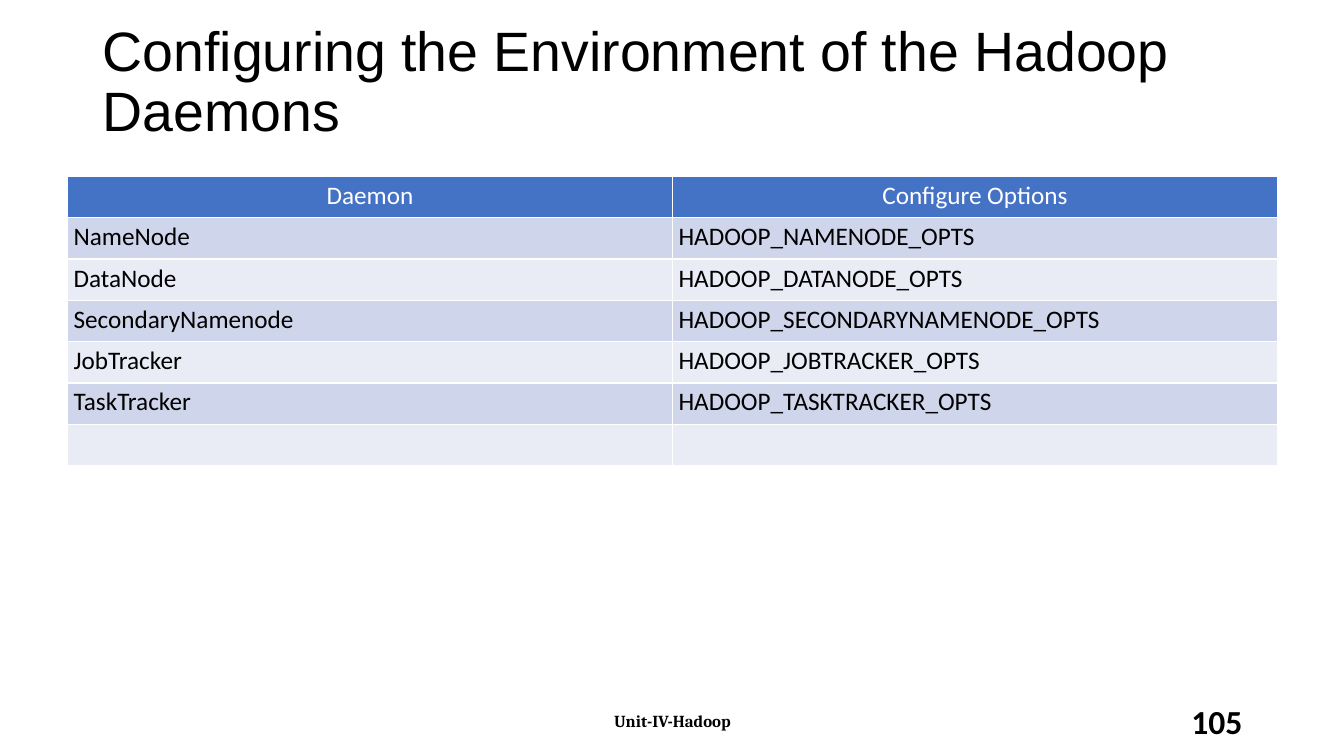
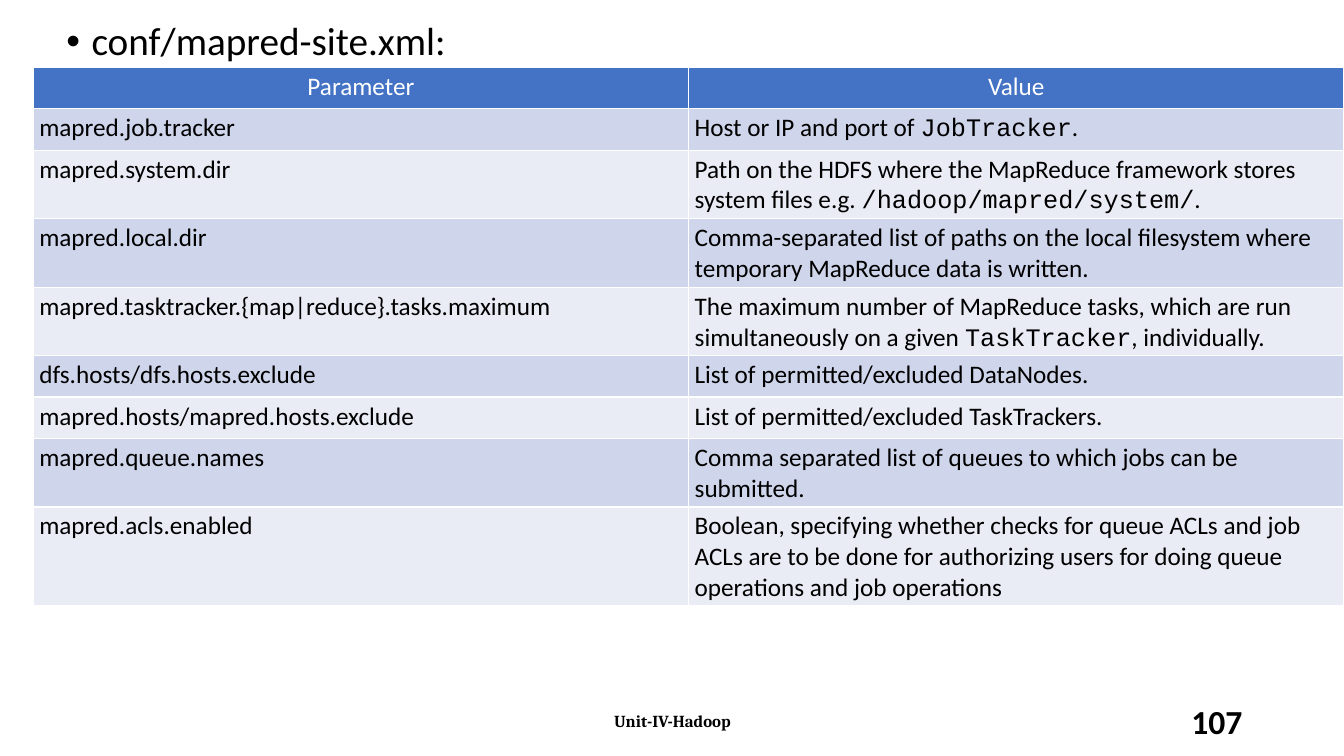
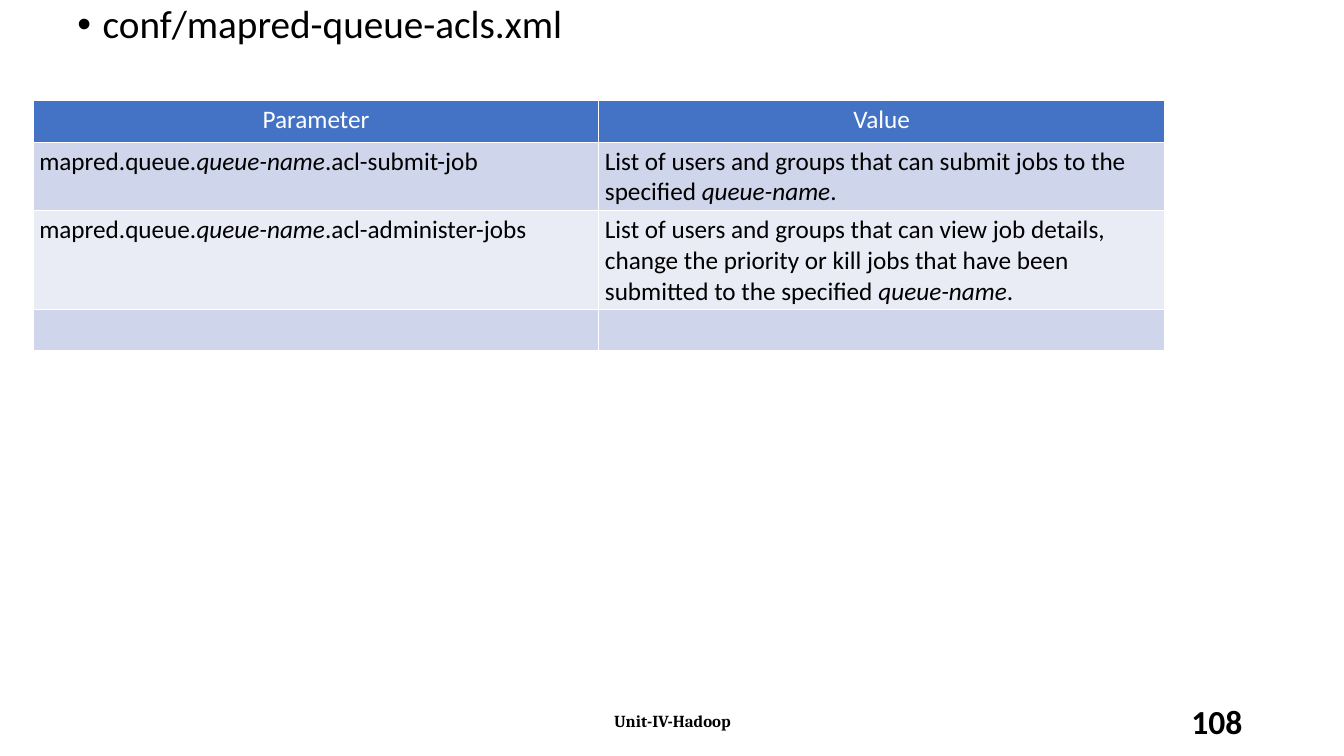
from pptx import Presentation
from pptx.dml.color import RGBColor
from pptx.enum.text import MSO_ANCHOR as Anchor, PP_ALIGN as Align
from pptx.oxml import parse_xml
from pptx.oxml.ns import nsdecls
from pptx.util import Inches, Pt

# Shared colours and fonts
BLACK = RGBColor(0x00, 0x00, 0x00)
WHITE = RGBColor(0xFF, 0xFF, 0xFF)
BLUE = RGBColor(0x44, 0x72, 0xC4)
BANDS = (RGBColor(0xCF, 0xD5, 0xEA), RGBColor(0xE9, 0xEB, 0xF5))
SANS, TITLE, SERIF, MONO = "Calibri", "Arial", "Cambria", "Courier New"
ROW = 0.41


def mono(text):
    return text, {"name": MONO}


def ital(text):
    return text, {"italic": True}


# Table contents: a cell is a string or a list of runs
DAEMONS = [
    ("Daemon", "Configure Options"),
    ("NameNode", "HADOOP_NAMENODE_OPTS"),
    ("DataNode", "HADOOP_DATANODE_OPTS"),
    ("SecondaryNamenode", "HADOOP_SECONDARYNAMENODE_OPTS"),
    ("JobTracker", "HADOOP_JOBTRACKER_OPTS"),
    ("TaskTracker", "HADOOP_TASKTRACKER_OPTS"),
    ("", ""),
]
MAPRED = [
    ("Parameter", "Value"),
    ("mapred.job.tracker",
     ["Host or IP and port of ", mono("JobTracker"), "."]),
    ("mapred.system.dir",
     ["Path on the HDFS where the MapReduce framework stores system files "
      "e.g. ", mono("/hadoop/mapred/system/"), "."]),
    ("mapred.local.dir",
     "Comma-separated list of paths on the local filesystem where temporary "
     "MapReduce data is written."),
    ("mapred.tasktracker.{map|reduce}.tasks.maximum",
     ["The maximum number of MapReduce tasks, which are run simultaneously "
      "on a given ", mono("TaskTracker"), ", individually."]),
    ("dfs.hosts/dfs.hosts.exclude", "List of permitted/excluded DataNodes."),
    ("mapred.hosts/mapred.hosts.exclude",
     "List of permitted/excluded TaskTrackers."),
    ("mapred.queue.names",
     "Comma separated list of queues to which jobs can be submitted."),
    ("mapred.acls.enabled",
     "Boolean, specifying whether checks for queue ACLs and job ACLs are to "
     "be done for authorizing users for doing queue operations and job "
     "operations"),
]
QUEUES = [
    ("Parameter", "Value"),
    (["mapred.queue.", ital("queue-name"), ".acl-submit-job"],
     ["List of users and groups that can submit jobs to the specified ",
      ital("queue-name"), "."]),
    (["mapred.queue.", ital("queue-name"), ".acl-administer-jobs"],
     ["List of users and groups that can view job details, change the "
      "priority or kill jobs that have been submitted to the specified ",
      ital("queue-name"), "."]),
    ("", ""),
]


def add_run(para, text, size, name=SANS, color=BLACK, bold=False,
            italic=False):
    run = para.add_run()
    run.text = text
    font = run.font
    font.size, font.name = Pt(size), name
    font.bold, font.italic = bold, italic
    font.color.rgb = color


def add_box(slide, box, text, size, anchor=Anchor.MIDDLE, align=Align.LEFT,
            **style):
    frame = slide.shapes.add_textbox(*map(Inches, box)).text_frame
    frame.word_wrap = True
    frame.vertical_anchor = anchor
    para = frame.paragraphs[0]
    para.alignment = align
    add_run(para, text, size, **style)
    return para


def add_title(slide, box, text):
    para = add_box(slide, box, text, 39.6, name=TITLE)
    para.line_spacing = 0.9


def add_bullet(slide, box, text):
    para = add_box(slide, box, text, 28, anchor=Anchor.TOP)
    para.line_spacing = 0.9
    props = para._p.get_or_add_pPr()
    indent = Inches(0.25)
    props.set("marL", str(indent))
    props.set("indent", str(-indent))
    props.append(parse_xml(f'<a:buFont {nsdecls("a")} typeface="Arial"/>'))
    props.append(parse_xml(f'<a:buChar {nsdecls("a")} char="•"/>'))


def add_edges(cell):
    props = cell._tc.get_or_add_tcPr()
    for side in "LRTB":
        props.append(parse_xml(
            f'<a:ln{side} {nsdecls("a")} w="{Pt(1)}"><a:solidFill>'
            f'<a:srgbClr val="{WHITE}"/></a:solidFill></a:ln{side}>'))


def fill_cell(cell, runs, head, band):
    cell.margin_left = cell.margin_right = Inches(0.06)
    cell.margin_top = cell.margin_bottom = Inches(0.04)
    add_edges(cell)
    cell.fill.solid()
    cell.fill.fore_color.rgb = BLUE if head else band
    para = cell.text_frame.paragraphs[0]
    para.alignment = Align.CENTER if head else Align.LEFT
    for run in [runs] if isinstance(runs, str) else runs:
        text, style = (run, {}) if isinstance(run, str) else run
        if text:
            add_run(para, text, 18, color=WHITE if head else BLACK, **style)


def add_grid(slide, left, top, width, rows):
    cols = len(rows[0])
    table = slide.shapes.add_table(
        len(rows), cols, Inches(left), Inches(top), Inches(width),
        Inches(ROW * len(rows))).table
    table.first_row = table.horz_banding = False
    for col in table.columns:
        col.width = Inches(width / cols)
    for i, row in enumerate(rows):
        table.rows[i].height = Inches(ROW)
        for j, runs in enumerate(row):
            fill_cell(table.cell(i, j), runs, i == 0, BANDS[(i - 1) % 2])


def add_foot(slide, number):
    add_box(slide, (9.42, 6.95, 3, 0.4), str(number), 24,
            align=Align.RIGHT, bold=True)
    add_box(slide, (4.42, 6.95, 4.5, 0.4), "Unit-IV-Hadoop", 12,
            align=Align.CENTER, name=SERIF, bold=True)


def add_page(deck, head, box, text, grid, number):
    slide = deck.slides.add_slide(deck.slide_layouts[6])
    head(slide, box, text)
    add_grid(slide, *grid)
    add_foot(slide, number)


def main():
    deck = Presentation()
    deck.slide_width, deck.slide_height = Inches(13.33), Inches(7.5)
    add_page(deck, add_title, (0.92, 0.1, 11.5, 1.45),
             "Configuring the Environment of the Hadoop Daemons",
             (0.67, 1.75, 12, DAEMONS), 105)
    add_page(deck, add_bullet, (0.56, 0.17, 12, 6.2),
             "conf/mapred-site.xml:", (0.33, 0.67, 13, MAPRED), 107)
    add_page(deck, add_bullet, (0.67, 0, 12, 6.7),
             "conf/mapred-queue-acls.xml", (0.33, 1, 11.22, QUEUES), 108)
    deck.save("out.pptx")


if __name__ == "__main__":
    main()
